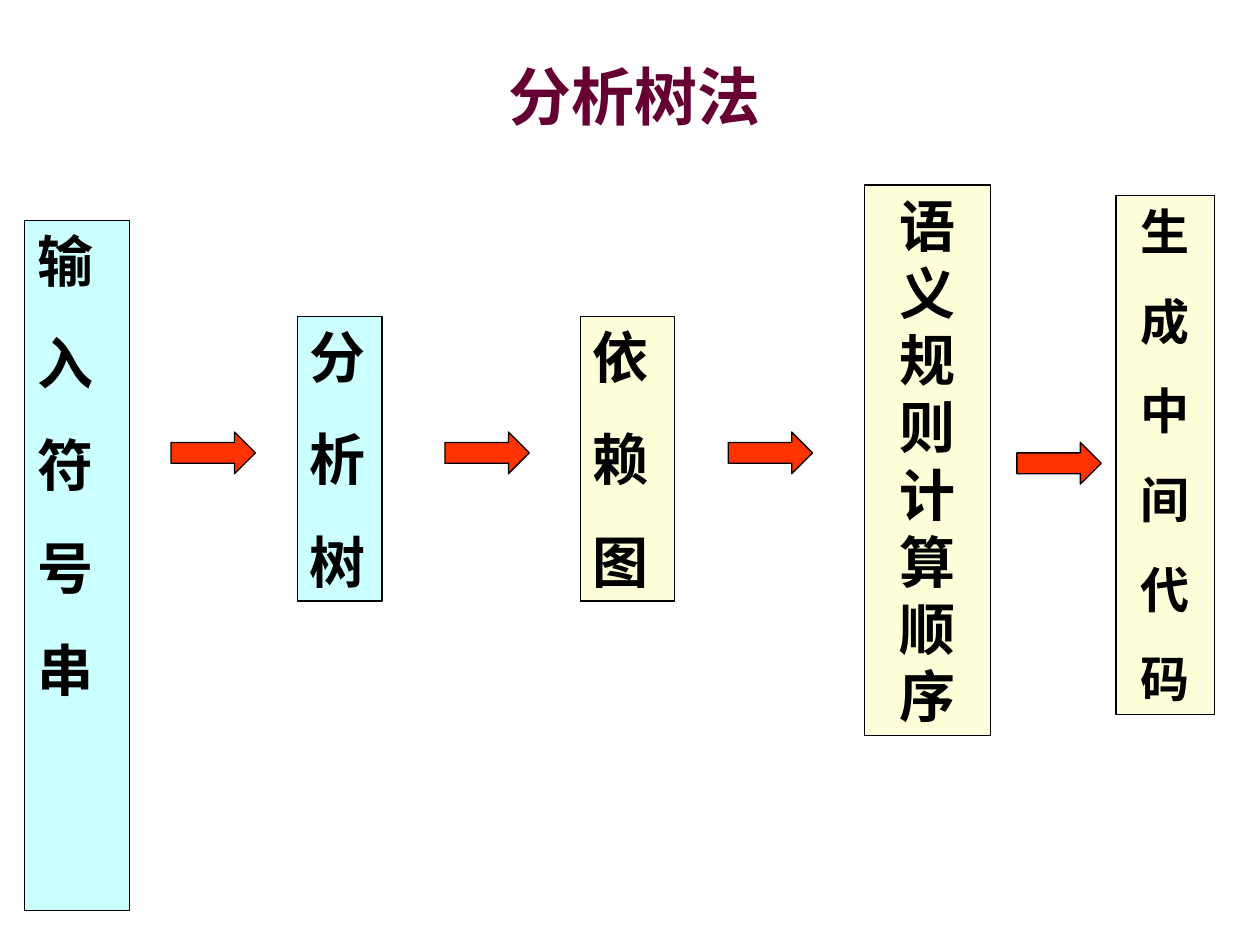
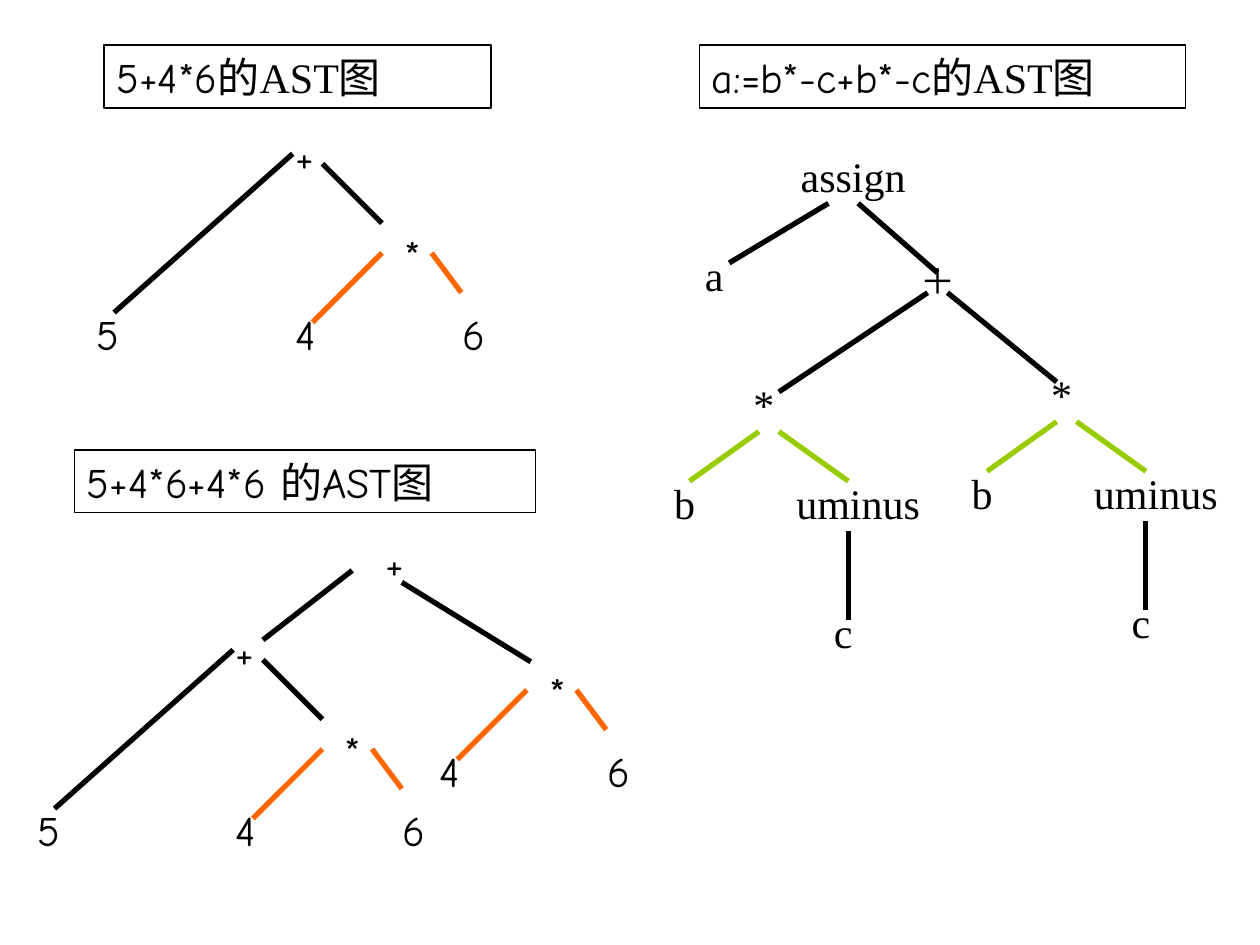
from lxml import etree
from pptx import Presentation
from pptx.dml.color import RGBColor
from pptx.enum.shapes import MSO_CONNECTOR, MSO_SHAPE
from pptx.enum.text import MSO_ANCHOR, PP_ALIGN
from pptx.oxml.ns import qn
from pptx.util import Cm, Pt

LEFT, CENTER = PP_ALIGN.LEFT, PP_ALIGN.CENTER
TOP, MIDDLE = MSO_ANCHOR.TOP, MSO_ANCHOR.MIDDLE
RECTANGLE, RIGHT_ARROW = MSO_SHAPE.RECTANGLE, MSO_SHAPE.RIGHT_ARROW
STRAIGHT = MSO_CONNECTOR.STRAIGHT

SERIF, COMIC = "Times New Roman", "Comic Neue"
BLACK, PLUM, RED = "000000", "660033", "FF3300"
CYAN, CREAM = "CCFFFF", "FEFFD9"
ORANGE, GREEN = "FF6600", "99CC00"


def paint(color_format, hex_color):
    color_format.rgb = RGBColor.from_string(hex_color)


def add_block(slide, place, paragraphs, size=24, color=BLACK, bold=False, align=LEFT,
              anchor=TOP, gap=0, framed=False, fill=None, kind=RECTANGLE):
    """Each paragraph is a list of (text, font) runs."""
    lengths = [Cm(value) for value in place]
    if framed:
        block = slide.shapes.add_shape(kind, *lengths)
        block.shadow.inherit = False
        paint(block.line.fill.fore_color if block.line.fill.type else block.line.color, BLACK)
        block.line.width = Pt(0.75)
        if fill:
            block.fill.solid()
            paint(block.fill.fore_color, fill)
        else:
            block.fill.background()
    else:
        block = slide.shapes.add_textbox(*lengths)
    frame = block.text_frame
    frame.word_wrap = True
    frame.vertical_anchor = anchor
    for index, runs in enumerate(paragraphs):
        paragraph = frame.add_paragraph() if index else frame.paragraphs[0]
        paragraph.alignment = align
        if index:
            paragraph.space_before = Pt(gap)
        for text, font_name in runs:
            run = paragraph.add_run()
            run.text = text
            run.font.name = font_name
            run.font.size = Pt(size)
            run.font.bold = bold
            paint(run.font.color, color)


deck = Presentation()
deck.slide_width, deck.slide_height = Cm(25.4), Cm(19.05)
blank = deck.slide_layouts[6]

# Slide 1: stages of the parse tree method
method = deck.slides.add_slide(blank)
add_block(method, (2.1, 0.43, 21.4, 2.97), [[("分析树法", SERIF)]],
          size=36, color=PLUM, bold=True, align=CENTER, anchor=MIDDLE)

stages = [
    ((0.5, 4.44, 2.11, 13.92), "输入符号串", CYAN, 32, LEFT),
    ((6, 6.38, 1.7, 5.74), "分析树", CYAN, 32, LEFT),
    ((11.7, 6.38, 1.9, 5.74), "依赖图", CREAM, 32, LEFT),
    ((17.43, 3.73, 2.54, 11.1), ["语义规则计算顺序"], CREAM, 32, CENTER),
    ((22.5, 3.94, 1.98, 10.46), "生成中间代码", CREAM, 28, CENTER),
]
for place, lines, fill, size, align in stages:
    add_block(method, place, [[(line, SERIF)] for line in lines], size=size, bold=True,
              align=align, gap=size * 0.625, framed=True, fill=fill)

for x, y in [(3.45, 8.71), (8.97, 8.71), (14.68, 8.71), (20.5, 8.92)]:
    add_block(method, (x, y, 1.7, 0.84), [], framed=True, fill=RED, kind=RIGHT_ARROW)

# Slide 2: abstract syntax trees
trees = deck.slides.add_slide(blank)
headings = [
    (2.1, 0.91, 7.8, [("5+4*6的", COMIC), ("AST", SERIF), ("图", COMIC)]),
    (1.5, 9.07, 9.3, [("5+4*6+4*6 的AST图", COMIC)]),
    (14.1, 0.91, 9.8, [("a:=b*-c+b*-c的", COMIC), ("AST", SERIF), ("图", COMIC)]),
]
for x, y, width, runs in headings:
    add_block(trees, (x, y, width, 1.27), [runs], framed=True)

# Number trees: every sum 5+4*6 hangs from its plus sign
number_nodes = [("+", 7.52, 10.72)]
edges = [(7.1, 11.5, 5.3, 12.9, BLACK), (8.1, 11.74, 10.7, 13.34, BLACK)]
products = [(10.82, 13.31)]
for x, y in [(5.7, 2.5), (4.5, 12.5)]:
    number_nodes += [("+", x, y), ("5", x - 4, y + 3.6)]
    edges += [(x + 0.2, y + 0.6, x - 3.4, y + 3.8, BLACK),
              (x + 0.8, y + 0.8, x + 2, y + 2, BLACK)]
    products.append((x + 2.2, y + 2))
for x, y in products:
    number_nodes += [("*", x, y), ("4", x - 2.2, y + 1.6), ("6", x + 1.17, y + 1.6)]
    edges += [(x - 0.2, y + 0.6, x - 1.6, y + 2, ORANGE),
              (x + 0.8, y + 0.6, x + 1.4, y + 1.4, ORANGE)]
for text, x, y in number_nodes:
    add_block(trees, (x, y, 0.95, 1.27), [[(text, COMIC)]])

# Assignment tree: both products b*-c have the same shape
assign_nodes = [("assign", 15.5, 2.9, 3.4), ("a", 13.9, 4.9, 1)]
edges += [(17.3, 4.1, 18.9, 5.5, BLACK), (14.7, 5.3, 16.7, 4.1, BLACK),
          (18.7, 5.9, 15.7, 7.9, BLACK), (19.1, 5.9, 21.3, 7.7, BLACK)]
for x, y in [(14.9, 7.5), (20.9, 7.3)]:
    assign_nodes += [("*", x, y, 1), ("b", x - 1.6, y + 2, 1),
                     ("uminus", x + 0.8, y + 2, 3.2), ("c", x + 1.6, y + 4.6, 1)]
    edges += [(x + 0.4, y + 1.2, x - 1, y + 2.2, GREEN),
              (x + 0.8, y + 1.2, x + 2.2, y + 2.2, GREEN),
              (x + 2.2, y + 3.2, x + 2.2, y + 5, BLACK)]
for text, x, y, width in assign_nodes:
    add_block(trees, (x, y, width, 1.27), [[(text, SERIF)]], align=CENTER, anchor=MIDDLE)
add_block(trees, (18.3, 5.1, 1, 1.12), [[("＋", SERIF)]], size=20, align=CENTER, anchor=MIDDLE)

# Branches of all trees
for x1, y1, x2, y2, color in edges:
    branch = trees.shapes.add_connector(STRAIGHT, Cm(x1), Cm(y1), Cm(x2), Cm(y2))
    paint(branch.line.color, color)
    branch.line.width = Pt(3)
    etree.SubElement(branch._element.spPr, qn("a:effectLst"))

deck.save("out.pptx")
